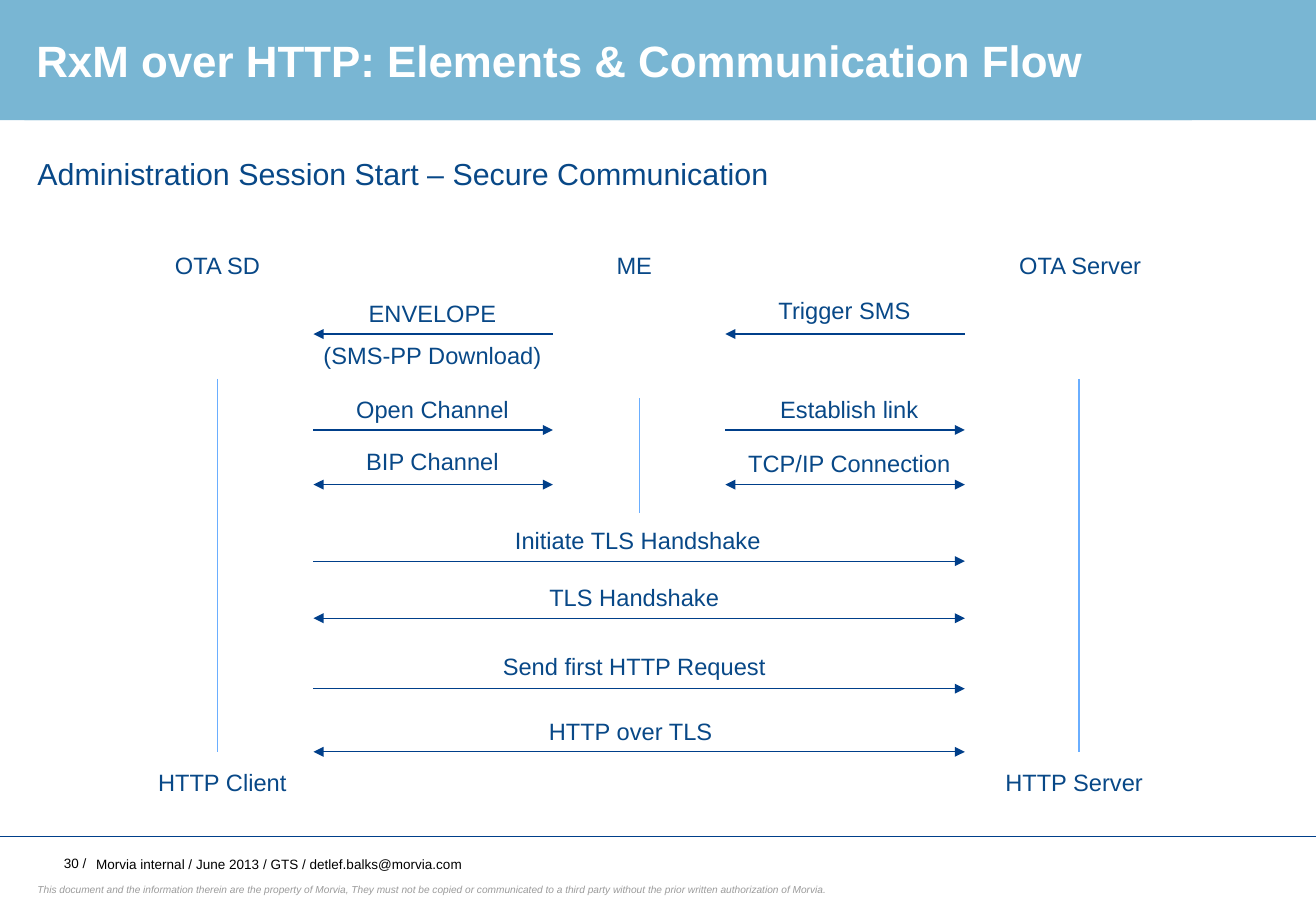
"""Builds the slide on the RxM over HTTP communication flow."""
from lxml import etree
from pptx import Presentation
from pptx.dml.color import RGBColor
from pptx.enum import shapes, text
from pptx.oxml import ns
from pptx.util import Pt

PX = 9144
THEME = {
    "font": "Arial",
    "band": "79B6D3", "white": "FFFFFF", "ink": "084887", "arrow": "003F8A",
    "lifeline": "6AAEFF", "black": "000000", "grey": "9B9B9B",
    "title": 26, "subtitle": 18, "label": 14, "footer": 8, "notice": 6,
    "hairline": 0.5, "stroke": 0.75,
}
LEFT, CENTER, RIGHT = text.PP_ALIGN.LEFT, text.PP_ALIGN.CENTER, text.PP_ALIGN.RIGHT
TOP, MIDDLE = text.MSO_ANCHOR.TOP, text.MSO_ANCHOR.MIDDLE

deck = Presentation()
deck.slide_width, deck.slide_height = 1083 * PX, 750 * PX
slide = deck.slides.add_slide(deck.slide_layouts[6])


def write(holder, lines, size, color, align=LEFT, anchor=TOP, **style):
    frame = holder.text_frame
    frame.word_wrap = True
    frame.vertical_anchor = anchor
    frame.text = "\n".join(lines)
    look = {"name": THEME["font"], "size": Pt(THEME[size]), **style}
    for index, paragraph in enumerate(frame.paragraphs):
        paragraph.alignment = align
        paragraph.space_before = Pt(8 if index else 0)
        for key, value in look.items():
            setattr(paragraph.font, key, value)
        paragraph.font.color.rgb = RGBColor.from_string(THEME[color])
    return frame


def draw_line(x1, y1, x2, y2, color, width="stroke", ends=()):
    line = slide.shapes.add_connector(
        shapes.MSO_CONNECTOR.STRAIGHT, x1 * PX, y1 * PX, x2 * PX, y2 * PX)
    line.line.color.rgb = RGBColor.from_string(THEME[color])
    line.line.width = Pt(THEME[width])
    outline = line.line._get_or_add_ln()
    for end in ends:
        etree.SubElement(outline, ns.qn(f"a:{end}"), type="triangle")
    etree.SubElement(line._element.spPr, ns.qn("a:effectLst"))


for left, width in [(0, 1083), (20, 961)]:
    band = slide.shapes.add_shape(
        shapes.MSO_SHAPE.RECTANGLE, left * PX, 0, width * PX, 99 * PX)
    band.shadow.inherit = False
    band.fill.solid()
    band.fill.fore_color.rgb = RGBColor.from_string(THEME["band"])
    band.line.fill.background()
write(band, ["RxM over HTTP: Elements & Communication Flow"],
      "title", "white", anchor=MIDDLE, bold=True)

subtitle = slide.shapes.add_textbox(21 * PX, 123 * PX, 1041 * PX, 40 * PX)
write(subtitle, ["Administration Session Start – Secure Communication"], "subtitle", "ink")

draw_line(0, 689, 1083, 689, "arrow", "hairline")
page = slide.shapes.add_textbox(21 * PX, 699 * PX, 60 * PX, 23 * PX)
write(page, ["30 /"], "footer", "black", RIGHT, MIDDLE)
source = slide.shapes.add_textbox(79 * PX, 699 * PX, 685 * PX, 24 * PX)
write(source, ["Morvia internal / June 2013 / GTS / detlef.balks@morvia.com"],
      "footer", "black", anchor=MIDDLE).margin_left = 0
notice = slide.shapes.add_textbox(21 * PX, 722 * PX, 742 * PX, 20 * PX)
write(notice, ["This document and the information therein are the property of Morvia, "
               "They must not be copied or communicated to a third party without "
               "the prior written authorization of Morvia."],
      "notice", "grey", anchor=MIDDLE, italic=True)

for x, start, end in [(179, 312, 619), (526, 328, 422), (888, 312, 619)]:
    draw_line(x, start, x, end, "lifeline")

SD_TO_ME, ME_TO_SERVER, SD_TO_SERVER = (258, 455), (597, 794), (258, 794)
BACK, FORTH, BOTH = ["headEnd"], ["tailEnd"], ["headEnd", "tailEnd"]
arrows = [
    (SD_TO_ME, 275, BACK), (ME_TO_SERVER, 275, BACK),
    (SD_TO_ME, 354, FORTH), (ME_TO_SERVER, 354, FORTH),
    (SD_TO_ME, 399, BOTH), (ME_TO_SERVER, 399, BOTH),
    (SD_TO_SERVER, 462, FORTH), (SD_TO_SERVER, 509, BOTH),
    (SD_TO_SERVER, 567, FORTH), (SD_TO_SERVER, 619, BOTH),
]
for (start, end), y, ends in arrows:
    draw_line(start, y, end, y, "arrow", ends=ends)

LABEL_WIDTH, LINE_HEIGHT = 240, 34
labels = [
    (179, 202, ["OTA SD"]), (522, 202, ["ME"]), (889, 202, ["OTA Server"]),
    (356, 241, ["ENVELOPE", "(SMS-PP Download)"]), (695, 239, ["Trigger SMS"]),
    (356, 320, ["Open Channel"]), (699, 320, ["Establish link"]),
    (356, 363, ["BIP Channel"]), (699, 365, ["TCP/IP Connection"]),
    (525, 428, ["Initiate TLS Handshake"]), (522, 475, ["TLS Handshake"]),
    (522, 532, ["Send first HTTP Request"]), (519, 585, ["HTTP over TLS"]),
    (183, 627, ["HTTP Client"]), (884, 627, ["HTTP Server"]),
]
for center, top, lines in labels:
    label = slide.shapes.add_textbox(
        (center - LABEL_WIDTH // 2) * PX, top * PX,
        LABEL_WIDTH * PX, LINE_HEIGHT * len(lines) * PX)
    write(label, lines, "label", "ink", CENTER)

deck.save("out.pptx")
